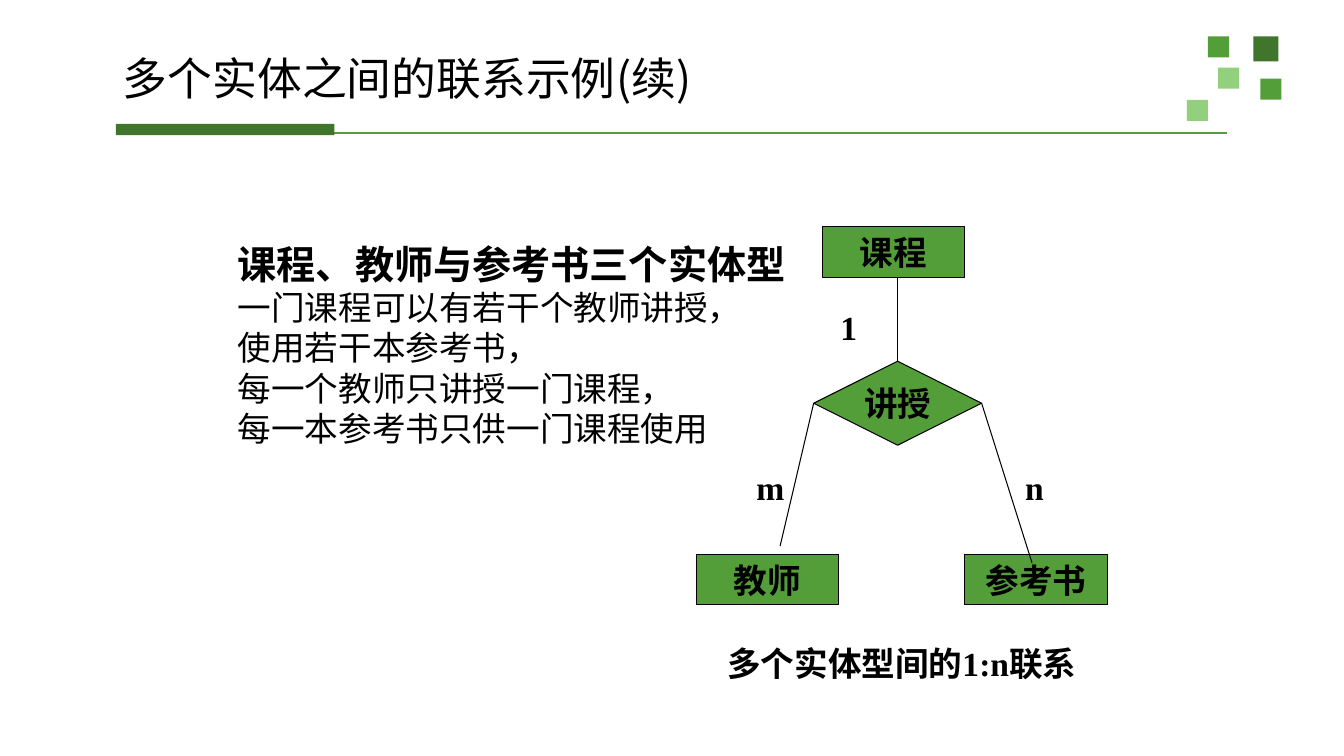
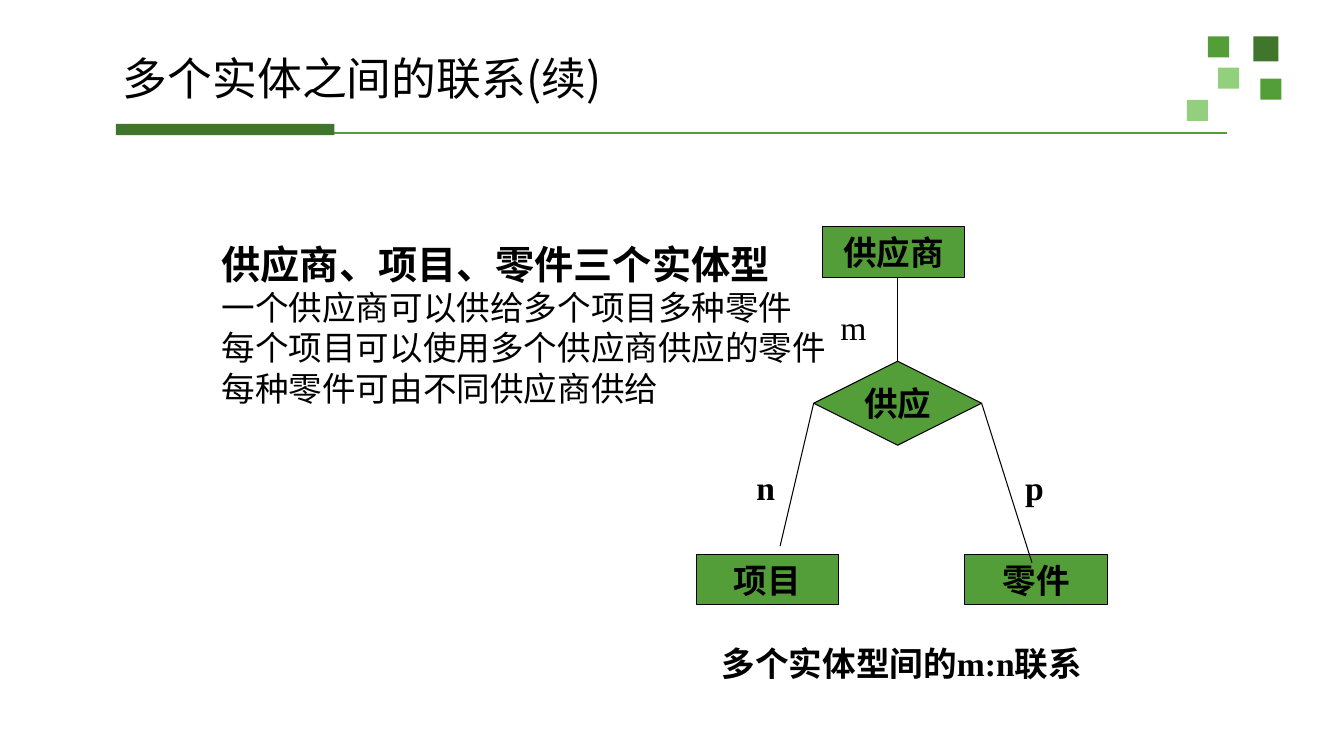
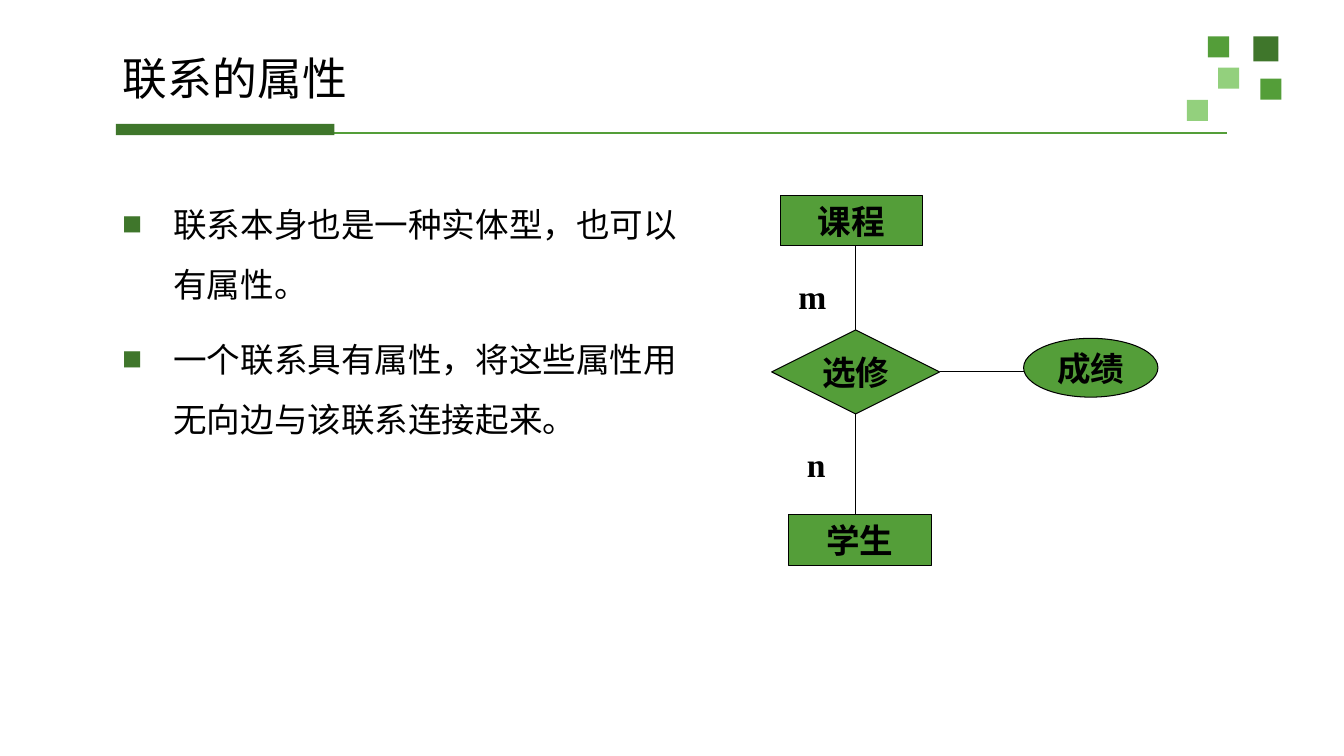
from dataclasses import dataclass

from lxml import etree
from pptx import Presentation
from pptx import util as u
from pptx.dml.color import RGBColor
from pptx.enum import shapes, text
from pptx.oxml import ns


@dataclass(frozen=True)
class Theme:
    dark: RGBColor = RGBColor.from_string("3F762B")
    green: RGBColor = RGBColor.from_string("549E39")
    light: RGBColor = RGBColor.from_string("93D07D")
    ink: RGBColor = RGBColor.from_string("000000")
    sans: str = "Noto Sans CJK SC"
    latin: str = "Arial"
    serif: str = "Times New Roman"
    title: int = 32
    lead: int = 28
    body: int = 24


theme = Theme()
CELL = 1 / 12
RECT, DIAMOND, OVAL = (
    shapes.MSO_SHAPE.RECTANGLE,
    shapes.MSO_SHAPE.DIAMOND,
    shapes.MSO_SHAPE.OVAL,
)
NODE_SIZES = {RECT: (17, 6), DIAMOND: (20, 10), OVAL: (16, 7)}
LABEL_SIZE = (5, 6)
CAPTION_SIZE = (49, 6)


def write_run(paragraph, words, size, font, bold=False):
    run = paragraph.add_run()
    run.text = words
    run.font.size = u.Pt(size)
    run.font.bold = bold
    run.font.color.rgb = theme.ink
    run.font.name = font
    etree.SubElement(run._r.get_or_add_rPr(), ns.qn("a:ea"), typeface=theme.sans)


def add_line(slide, start, end, color, width):
    line = slide.shapes.add_connector(
        shapes.MSO_CONNECTOR.STRAIGHT, *(u.Inches(value) for value in (*start, *end))
    )
    line.line.color.rgb = color
    line.line.width = u.Pt(width)
    etree.SubElement(line._element.spPr, ns.qn("a:effectLst"))
    return line


TERNARY_NODES = [(RECT, 15, 0), (DIAMOND, 14, 16), (RECT, 0, 39), (RECT, 32, 39)]
TERNARY_LINES = [(24, 16, 24, 6), (14, 21, 10, 38), (34, 21, 40, 40)]
TERNARY_LABELS = [(16, 9), (6, 28), (38, 28)]
TERNARY = dict(
    origin=(6.91, 2.25), nodes=TERNARY_NODES, lines=TERNARY_LINES, labels=TERNARY_LABELS
)
ATTRIBUTE = dict(
    origin=(7.66, 1.94),
    nodes=[(RECT, 1, 0), (DIAMOND, 0, 16), (RECT, 2, 38), (OVAL, 30, 17)],
    lines=[(10, 16, 10, 6), (10, 26, 10, 38), (20, 21, 30, 21)],
    labels=[(2, 9), (3, 29)],
)

pages = [
    dict(
        title="多个实体之间的联系示例(续)",
        body_box=(2.26, 2.33, 5.83, 2.17),
        lead="课程、教师与参考书三个实体型",
        lines=[
            "一门课程可以有若干个教师讲授，",
            "使用若干本参考书，",
            "每一个教师只讲授一门课程，",
            "每一本参考书只供一门课程使用",
        ],
        diagram=TERNARY,
        names=["课程", "讲授", "教师", "参考书"],
        labels=[("1", True), ("m", True), ("n", True)],
        caption="多个实体型间的1:n联系",
    ),
    dict(
        title="多个实体之间的联系(续)",
        body_box=(2.1, 2.33, 6.38, 1.77),
        lead="供应商、项目、零件三个实体型",
        lines=[
            "一个供应商可以供给多个项目多种零件",
            "每个项目可以使用多个供应商供应的零件",
            "每种零件可由不同供应商供给",
        ],
        diagram=TERNARY,
        names=["供应商", "供应", "项目", "零件"],
        labels=[("m", False), ("n", True), ("p", True)],
        caption="多个实体型间的m:n联系",
    ),
    dict(
        title="联系的属性",
        body_box=(1.14, 1.78, 5.69, 3.52),
        lead=None,
        lines=[
            "联系本身也是一种实体型，也可以有属性。",
            "一个联系具有属性，将这些属性用无向边与该联系连接起来。",
        ],
        diagram=ATTRIBUTE,
        names=["课程", "选修", "学生", "成绩"],
        labels=[("m", True), ("n", True)],
        caption=None,
    ),
]

presentation = Presentation()
presentation.slide_width = u.Inches(13.34)
presentation.slide_height = u.Inches(7.5)
layout = presentation.slide_layouts[1]
layout_title = layout.placeholders[0]
layout_title.left, layout_title.top = u.Inches(1.14), u.Inches(0.35)
layout_title.width, layout_title.height = u.Inches(11.28), u.Inches(0.91)

slides = [presentation.slides.add_slide(layout) for page in pages]

decorations = [add_line(slides[0], (3.32, 1.32), (12.18, 1.32), theme.green, 2)]
for left, top, width, height, color in [
    (12.44, 0.36, 0.25, 0.25, theme.dark),
    (11.99, 0.36, 0.21, 0.21, theme.green),
    (12.51, 0.78, 0.21, 0.21, theme.green),
    (12.09, 0.67, 0.21, 0.21, theme.light),
    (11.78, 0.99, 0.21, 0.21, theme.light),
    (1.15, 1.23, 2.17, 0.11, theme.dark),
]:
    block = slides[0].shapes.add_shape(
        RECT, *(u.Inches(value) for value in (left, top, width, height))
    )
    block.shadow.inherit = False
    block.fill.solid()
    block.fill.fore_color.rgb = color
    block.line.fill.background()
    decorations.append(block)
for decoration in decorations:
    layout.shapes._spTree.append(decoration._element)

for slide, page in zip(slides, pages):
    title, body = slide.placeholders
    for placeholder in (title, body):
        frame = placeholder.text_frame
        frame.word_wrap = True
        frame.auto_size = text.MSO_AUTO_SIZE.NONE
        frame.margin_left = frame.margin_right = u.Inches(0.08)
        frame.margin_top = frame.margin_bottom = u.Inches(0.04)
    title.text_frame.vertical_anchor = text.MSO_ANCHOR.MIDDLE
    heading = title.text_frame.paragraphs[0]
    heading.alignment = text.PP_ALIGN.LEFT
    heading.line_spacing = 0.9
    write_run(heading, page["title"], theme.title, theme.sans)

    body.left, body.top, body.width, body.height = map(u.Inches, page["body_box"])
    bulleted = page["lead"] is None
    if not bulleted:
        body.text_frame.margin_left = body.text_frame.margin_right = u.Inches(0.1)
        body.text_frame.margin_top = body.text_frame.margin_bottom = u.Inches(0.05)
    rows = [(line, theme.body, False) for line in page["lines"]]
    if not bulleted:
        rows.insert(0, (page["lead"], theme.lead, True))
    for index, (words, size, bold) in enumerate(rows):
        frame = body.text_frame
        paragraph = frame.add_paragraph() if index else frame.paragraphs[0]
        paragraph.space_before = u.Pt(10 if bulleted and index else 0)
        paragraph.line_spacing = 1.5 if bulleted else 1.0
        properties = paragraph._p.get_or_add_pPr()
        indent = u.Inches(0.5) if bulleted else 0
        properties.set("marL", str(indent))
        properties.set("indent", str(-indent))
        if bulleted:
            bullet_color = etree.SubElement(properties, ns.qn("a:buClr"))
            etree.SubElement(bullet_color, ns.qn("a:srgbClr"), val=str(theme.dark))
            etree.SubElement(properties, ns.qn("a:buSzPct"), val="60000")
            etree.SubElement(properties, ns.qn("a:buFont"), typeface=theme.sans)
            etree.SubElement(properties, ns.qn("a:buChar"), char="■")
        else:
            etree.SubElement(properties, ns.qn("a:buNone"))
        write_run(paragraph, words, size, theme.sans if bulleted else theme.latin, bold)

    diagram = page["diagram"]
    origin_left, origin_top = diagram["origin"]
    for (kind, column, row), name in zip(diagram["nodes"], page["names"]):
        columns, height = NODE_SIZES[kind]
        node = slide.shapes.add_shape(
            kind,
            u.Inches(origin_left + column * CELL),
            u.Inches(origin_top + row * CELL),
            u.Inches(columns * CELL),
            u.Inches(height * CELL),
        )
        node.shadow.inherit = False
        node.fill.solid()
        node.fill.fore_color.rgb = theme.green
        node.line.color.rgb = theme.ink
        node.line.width = u.Pt(0.75)
        node.text_frame.word_wrap = False
        node.text_frame.vertical_anchor = text.MSO_ANCHOR.MIDDLE
        paragraph = node.text_frame.paragraphs[0]
        paragraph.alignment = text.PP_ALIGN.CENTER
        write_run(paragraph, name, theme.body, theme.serif, True)

    for x1, y1, x2, y2 in diagram["lines"]:
        start = (origin_left + x1 * CELL, origin_top + y1 * CELL)
        end = (origin_left + x2 * CELL, origin_top + y2 * CELL)
        add_line(slide, start, end, theme.ink, 0.75)

    captions = [
        (place, LABEL_SIZE, words, bold, text.PP_ALIGN.LEFT)
        for place, (words, bold) in zip(diagram["labels"], page["labels"])
    ]
    if page["caption"]:
        captions.append(
            ((0, 49), CAPTION_SIZE, page["caption"], True, text.PP_ALIGN.CENTER)
        )
    for (column, row), (columns, height), words, bold, alignment in captions:
        label = slide.shapes.add_textbox(
            u.Inches(origin_left + column * CELL),
            u.Inches(origin_top + row * CELL),
            u.Inches(columns * CELL),
            u.Inches(height * CELL),
        )
        label.text_frame.word_wrap = True
        paragraph = label.text_frame.paragraphs[0]
        paragraph.alignment = alignment
        write_run(paragraph, words, theme.body, theme.serif, bold)

presentation.save("out.pptx")
